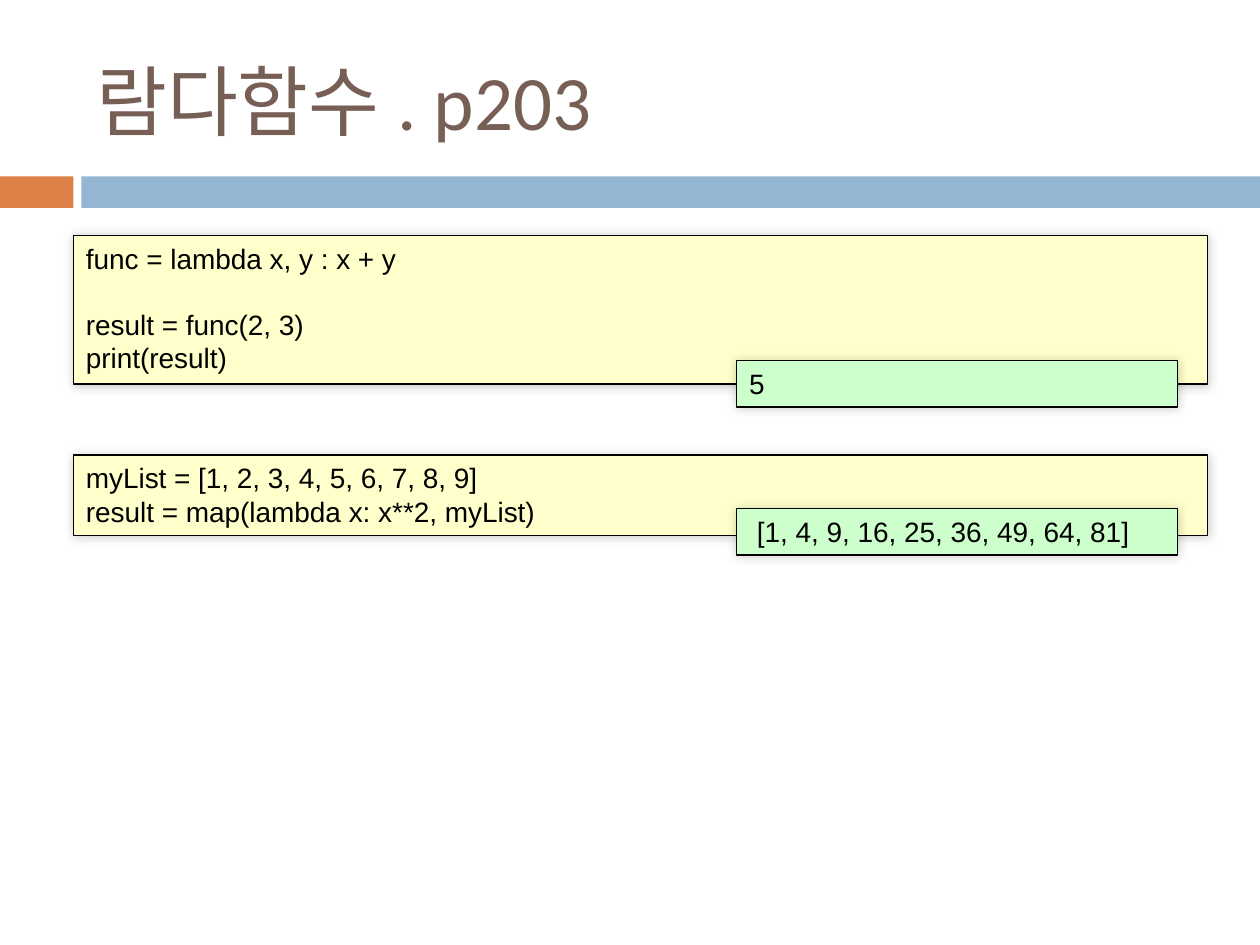
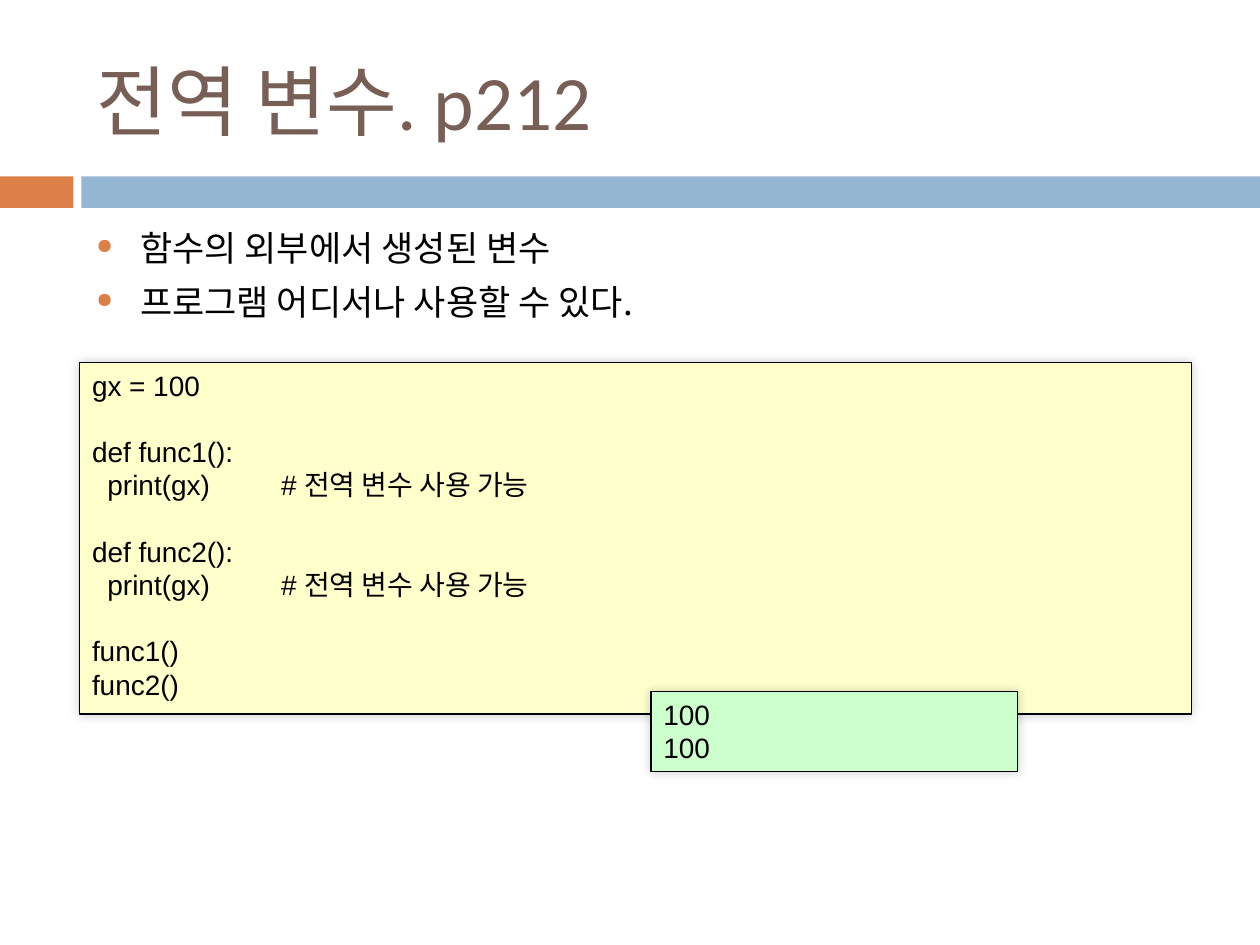
import dataclasses

import lxml.etree
import pptx
import pptx.dml.color
import pptx.enum.shapes
import pptx.enum.text
import pptx.oxml.ns
import pptx.util

Pt = pptx.util.Pt
qn = pptx.oxml.ns.qn


@dataclasses.dataclass(frozen=True)
class Theme:
    title_color: str = "775F55"
    text_color: str = "000000"
    accent: str = "DD8047"
    band: str = "94B6D2"
    code_fill: str = "FFFFCC"
    output_fill: str = "CCFFCC"
    title_font: str = "Calibri"
    code_font: str = "Arial"
    body_font: str = "Noto Sans CJK KR"
    title_size: int = 44
    body_size: int = 20
    code_size: int = 16
    code_line: int = 19
    body_line: int = 24


THEME = Theme()


def rgb(value):
    return pptx.dml.color.RGBColor.from_string(value)


def add_element(parent, tag, **attributes):
    return lxml.etree.SubElement(parent, qn(tag), attributes)


def format_runs(paragraph, font_name, size, color):
    for run in paragraph.runs:
        run.font.name = font_name
        run.font.size = Pt(size)
        run.font.color.rgb = rgb(color)


def add_rectangle(slide, left, top, width, height, fill):
    shape = slide.shapes.add_shape(
        pptx.enum.shapes.MSO_SHAPE.RECTANGLE, Pt(left), Pt(top), Pt(width), Pt(height))
    shape.shadow.inherit = False
    shape.fill.solid()
    shape.fill.fore_color.rgb = rgb(fill)
    shape.line.fill.background()
    return shape


def add_soft_shadow(shape):
    effects = shape._element.spPr.find(qn("a:effectLst"))
    shadow = add_element(effects, "a:outerShdw", blurRad=str(Pt(6)), dist="0",
                         dir="18900000", algn="ctr", rotWithShape="0")
    color = add_element(shadow, "a:srgbClr", val=THEME.text_color)
    add_element(color, "a:alpha", val="20000")


def add_listing(slide, left, top, width, height, fill, text):
    shape = add_rectangle(slide, left, top, width, height, fill)
    shape.line.color.rgb = rgb(THEME.text_color)
    shape.line.width = Pt(0.75)
    add_soft_shadow(shape)
    frame = shape.text_frame
    frame.word_wrap = True
    frame.vertical_anchor = pptx.enum.text.MSO_ANCHOR.TOP
    frame.text = text.replace("\n\n", "\n")
    block_starts = [block.count("\n") + 1 for block in text.split("\n\n")]
    spaced = {sum(block_starts[:index]) for index in range(1, len(block_starts))}
    for index, paragraph in enumerate(frame.paragraphs):
        paragraph.alignment = pptx.enum.text.PP_ALIGN.LEFT
        paragraph.line_spacing = Pt(THEME.code_line)
        if index in spaced:
            paragraph.space_before = Pt(THEME.code_line)
        format_runs(paragraph, THEME.code_font, THEME.code_size, THEME.text_color)


def add_code(slide, left, top, width, height, text):
    add_listing(slide, left, top, width, height, THEME.code_fill, text)


def add_output(slide, left, top, width, height, text):
    add_listing(slide, left, top, width, height, THEME.output_fill, text)


def add_text_box(slide, left, top, width, height):
    box = slide.shapes.add_textbox(Pt(left), Pt(top), Pt(width), Pt(height))
    box.text_frame.word_wrap = True
    return box.text_frame


def add_bullets(slide, items):
    frame = add_text_box(slide, 48, 126, 642, 174)
    frame.text = "\n".join(items)
    for paragraph in frame.paragraphs:
        paragraph.space_before = Pt(7)
        paragraph.line_spacing = Pt(THEME.body_line)
        format_runs(paragraph, THEME.body_font, THEME.body_size, THEME.text_color)
        for run in paragraph.runs:
            add_element(run.font._element, "a:ea", typeface=THEME.body_font)
        properties = paragraph._p.get_or_add_pPr()
        properties.set("marL", str(Pt(25)))
        properties.set("indent", str(-Pt(25)))
        bullet_color = add_element(properties, "a:buClr")
        add_element(bullet_color, "a:srgbClr", val=THEME.accent)
        add_element(properties, "a:buSzPct", val="60000")
        add_element(properties, "a:buChar", char="●")


def add_titled_slide(presentation, title):
    slide = presentation.slides.add_slide(presentation.slide_layouts[6])
    add_rectangle(slide, 0, 100.8, 42, 18, THEME.accent)
    add_rectangle(slide, 46.5, 100.8, 673.5, 18, THEME.band)
    frame = add_text_box(slide, 48, 18, 642, 78)
    frame.vertical_anchor = pptx.enum.text.MSO_ANCHOR.MIDDLE
    frame.text = title
    format_runs(frame.paragraphs[0], THEME.title_font, THEME.title_size, THEME.title_color)
    return slide


def add_lambda_slide(presentation):
    slide = add_titled_slide(presentation, "람다함수 . p203")
    add_code(slide, 42, 134.5, 648, 85,
             "func = lambda x, y : x + y\n\nresult = func(2, 3)\nprint(result)")
    add_code(slide, 42, 260, 648, 46,
             "myList = [1, 2, 3, 4, 5, 6, 7, 8, 9]\nresult = map(lambda x: x**2, myList)")
    add_output(slide, 421, 206, 252, 26.6, "5")
    add_output(slide, 421, 290.6, 252, 26.6, " [1, 4, 9, 16, 25, 36, 49, 64, 81]")


def add_global_variable_slide(presentation):
    slide = add_titled_slide(presentation, "전역 변수. p212")
    functions = [f"def {name}():\n  print(gx)\t\t# 전역 변수 사용 가능"
                 for name in ("func1", "func2")]
    add_code(slide, 45.5, 207, 635.5, 201,
             "\n\n".join(["gx = 100", *functions, "func1()\nfunc2()"]))
    add_bullets(slide, ["함수의 외부에서 생성된 변수", "프로그램 어디서나 사용할 수 있다."])
    add_output(slide, 372, 395, 209.5, 46, "100\n100")


def main():
    presentation = pptx.Presentation()
    presentation.slide_width = Pt(720)
    presentation.slide_height = Pt(540)
    add_lambda_slide(presentation)
    add_global_variable_slide(presentation)
    presentation.save("out.pptx")


if __name__ == "__main__":
    main()
